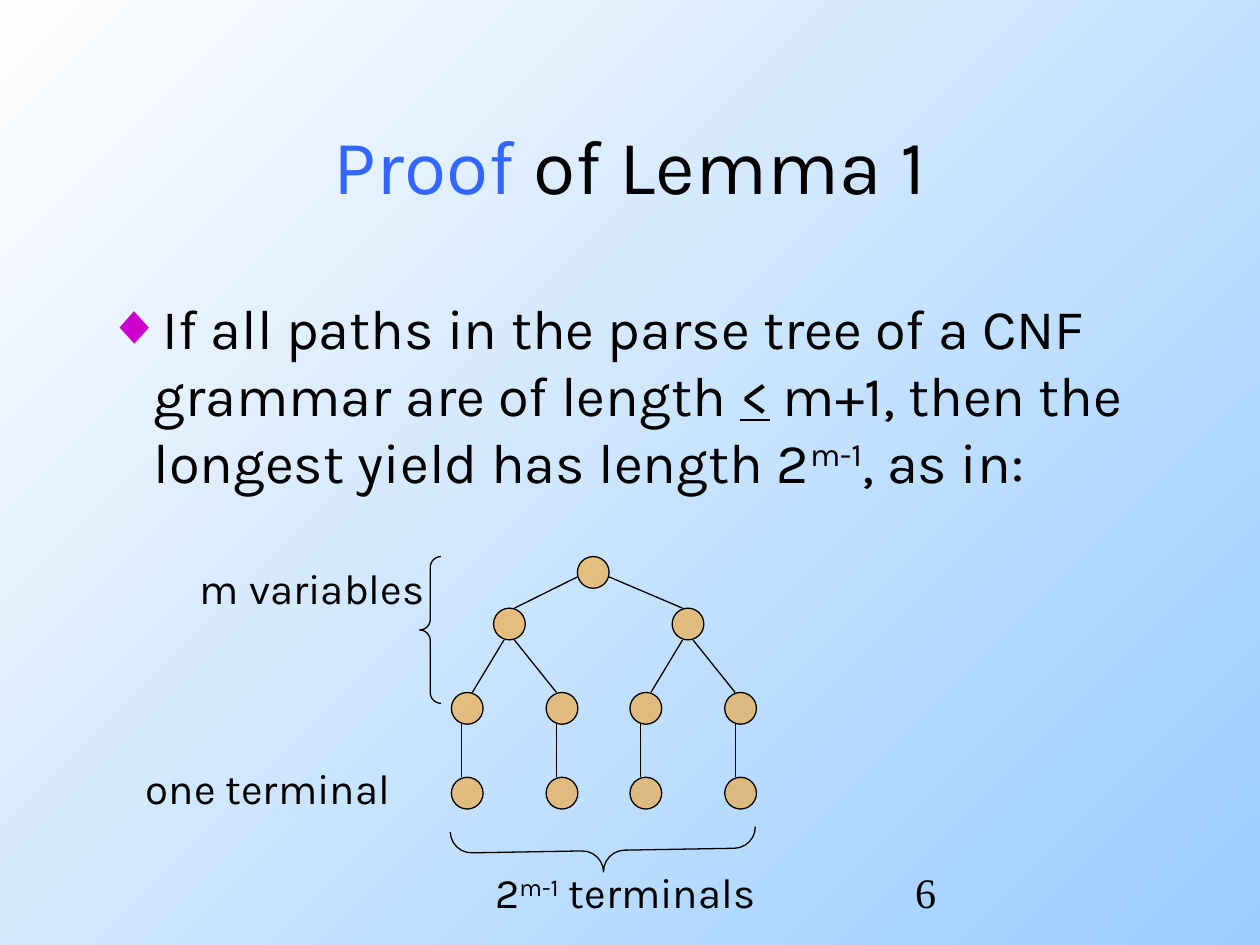
"""Build the slide on the proof of Lemma 1, with its parse tree."""
from collections import namedtuple
from dataclasses import dataclass

from lxml import etree
from pptx import Presentation
from pptx.dml.color import RGBColor
from pptx.enum import shapes, text
from pptx.oxml import ns
from pptx.util import Cm, Pt

Box = namedtuple("Box", "left top width height")


@dataclass(frozen=True)
class Theme:
    """Colours, fonts and type sizes of the slide."""
    ink: str = "000000"
    accent: str = "3366FF"
    bullet: str = "CC00CC"
    node: str = "FF9900"
    sky: str = "99CCFF"
    light: str = "FEFEFE"
    font: str = "Karla"
    number_font: str = "Times New Roman"
    title: int = 44
    body: int = 32
    label: int = 24
    hairline: float = 0.75


THEME = Theme()
NODE = 0.64
NEAR, FAR = 0.21, 0.42
ROWS = (0, 1.04, 2.74, 4.45)
LEAVES = (0, 1.91, 3.6, 5.51)
BRANCHES = (0.85, 4.45)
ROOT = 2.54


def apply(target, **values):
    """Set each named attribute on the target."""
    for name, value in values.items():
        setattr(target, name, value)


def place(shape, box):
    """Move a shape to a box given in centimetres."""
    apply(shape, **{side: Cm(value) for side, value in box._asdict().items()})


def add_child(parent, tag, **attributes):
    """Append a drawing element with the given attributes."""
    return etree.SubElement(parent, ns.qn(tag), attributes)


def write(paragraph, runs, size, font=THEME.font):
    """Write runs of wording, each with its differing format."""
    for wording, look in runs:
        run = paragraph.add_run()
        run.text = wording
        apply(run.font, name=font, size=Pt(size), underline=look.get("underline"))
        run.font.color.rgb = RGBColor.from_string(look.get("color", THEME.ink))
        if look.get("raised"):
            run._r.get_or_add_rPr().set("baseline", "30000")


def outline(shape):
    """Give a shape or connector a thin dark line."""
    shape.line.color.rgb = RGBColor.from_string(THEME.ink)
    shape.line.width = Pt(THEME.hairline)


def paint_background(slide):
    """Shade the slide from blue at bottom right to white at top left."""
    fill = slide.background.fill
    fill.gradient()
    fill.gradient_angle = 135
    for stop, color, position in zip(fill.gradient_stops, (THEME.sky, THEME.light), (0, 1)):
        stop.color.rgb = RGBColor.from_string(color)
        stop.position = position


def add_title(slide, box):
    """Fill the title placeholder."""
    title = slide.shapes.title
    place(title, box)
    apply(title.text_frame, vertical_anchor=text.MSO_ANCHOR.MIDDLE,
          auto_size=text.MSO_AUTO_SIZE.NONE)
    paragraph = title.text_frame.paragraphs[0]
    paragraph.alignment = text.PP_ALIGN.CENTER
    write(paragraph, [("Proof", {"color": THEME.accent}), (" of Lemma 1", {})], THEME.title)


def add_claim(slide, box):
    """Fill the body placeholder with the bulleted claim."""
    claim = slide.placeholders[1]
    place(claim, box)
    claim.text_frame.auto_size = text.MSO_AUTO_SIZE.NONE
    paragraph = claim.text_frame.paragraphs[0]
    properties = paragraph._p.get_or_add_pPr()
    properties.set("marL", str(Cm(0.94)))
    properties.set("indent", str(-Cm(0.94)))
    add_child(add_child(properties, "a:buClr"), "a:srgbClr", val=THEME.bullet)
    add_child(properties, "a:buChar", char="◆")
    paragraph.space_before = Pt(0)
    claim.text_frame.margin_top = Cm(0.13) + Pt(8)
    write(paragraph, [
        ("If all paths in the parse tree of a CNF grammar are of length ", {}),
        ("<", {"underline": True}),
        (" m+1, then the longest yield has length 2", {}),
        ("m-1", {"raised": True}),
        (", as in:", {}),
    ], THEME.body)


def add_label(slide, box, runs, font=THEME.font):
    """Add a one-line label."""
    label = slide.shapes.add_textbox(*map(Cm, box))
    apply(label.text_frame, word_wrap=False, auto_size=text.MSO_AUTO_SIZE.SHAPE_TO_FIT_TEXT)
    write(label.text_frame.paragraphs[0], runs, THEME.label, font)


def add_node(slide, left, top):
    """Add one half-transparent tree node."""
    node = slide.shapes.add_shape(
        shapes.MSO_SHAPE.OVAL, *map(Cm, (left, top, NODE, NODE)))
    node.shadow.inherit = False
    node.fill.solid()
    node.fill.fore_color.rgb = RGBColor.from_string(THEME.node)
    color = node.fill._xPr.find(ns.qn("a:solidFill"))[0]
    add_child(color, "a:alpha", val="50000")
    outline(node)


def add_edge(slide, box, start, end):
    """Join two points given relative to the box."""
    ends = [Cm(origin + offset) for point in (start, end)
            for origin, offset in zip(box, point)]
    edge = slide.shapes.add_connector(shapes.MSO_CONNECTOR.STRAIGHT, *ends)
    outline(edge)
    add_child(edge._element.spPr, "a:effectLst")


def add_tree(slide, box):
    """Draw the parse tree: one root, two branches, four leaves, four terminals."""
    levels = ((ROOT,), BRANCHES, LEAVES, LEAVES)
    for columns, row in zip(levels, ROWS):
        for column in columns:
            add_node(slide, box.left + column, box.top + row)
    leans = ((0, NEAR, FAR), (NODE, FAR, NEAR))
    for branch, (side, _, arrival) in zip(BRANCHES, leans):
        add_edge(slide, box, (ROOT + side, 0.41), (branch + arrival, ROWS[1]))
    for index, leaf in enumerate(LEAVES):
        _, departure, arrival = leans[index % 2]
        add_edge(slide, box, (BRANCHES[index // 2] + departure, ROWS[1] + NODE),
                 (leaf + arrival, ROWS[2]))
        add_edge(slide, box, (leaf + NEAR, ROWS[2] + NODE), (leaf + NEAR, ROWS[3]))


def add_brace(slide, box, rotation=0):
    """Add an unfilled brace with full round corners."""
    brace = slide.shapes.add_shape(shapes.MSO_SHAPE.LEFT_BRACE, *map(Cm, box))
    brace.shadow.inherit = False
    brace.fill.background()
    outline(brace)
    brace.rotation = rotation
    brace.adjustments[0] = 0.5


def main():
    """Assemble and save the slide."""
    deck = Presentation()
    apply(deck, slide_width=Cm(25.4), slide_height=Cm(19.05))
    slide = deck.slides.add_slide(deck.slide_layouts[1])
    paint_background(slide)
    add_title(slide, Box(1.9, 1.7, 21.6, 3.18))
    add_claim(slide, Box(1.9, 5.5, 21.6, 11.43))
    add_tree(slide, Box(9.1, 11.22, 6.15, 5.09))
    add_brace(slide, Box(8.46, 11.22, 0.43, 2.96))
    add_brace(slide, Box(11.73, 14.07, 0.86, 6.15), 269)
    add_label(slide, Box(3.78, 11.22, 5.08, 1.27), [("m variables", {})])
    add_label(slide, Box(2.69, 15.24, 5.59, 1.27), [("one terminal", {})])
    add_label(slide, Box(9.73, 17.35, 5.87, 1.27),
              [("2", {}), ("m-1", {"raised": True}), (" terminals", {})])
    add_label(slide, Box(18.2, 17.35, 0.93, 1.27), [("6", {})], THEME.number_font)
    deck.save("out.pptx")


if __name__ == "__main__":
    main()
